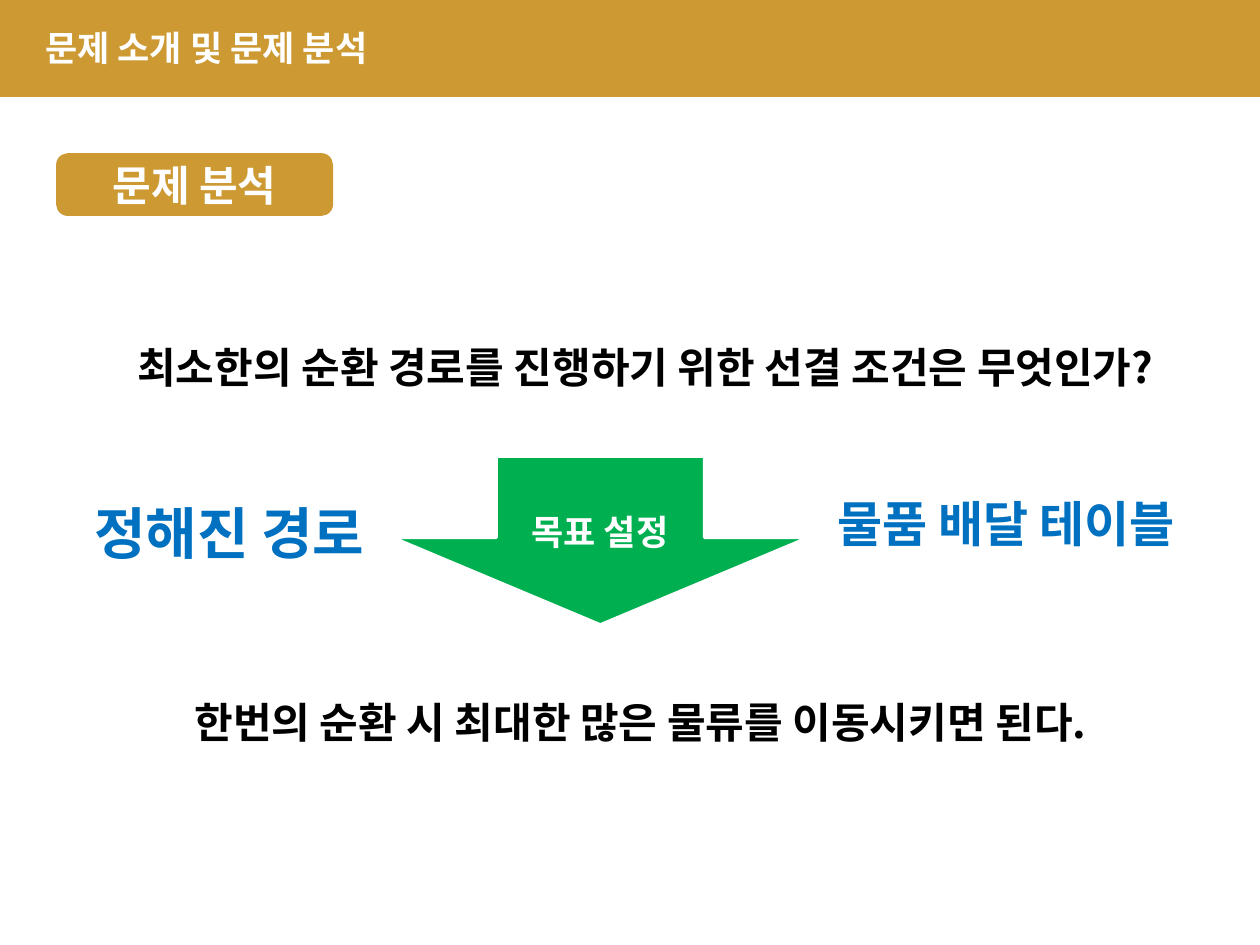
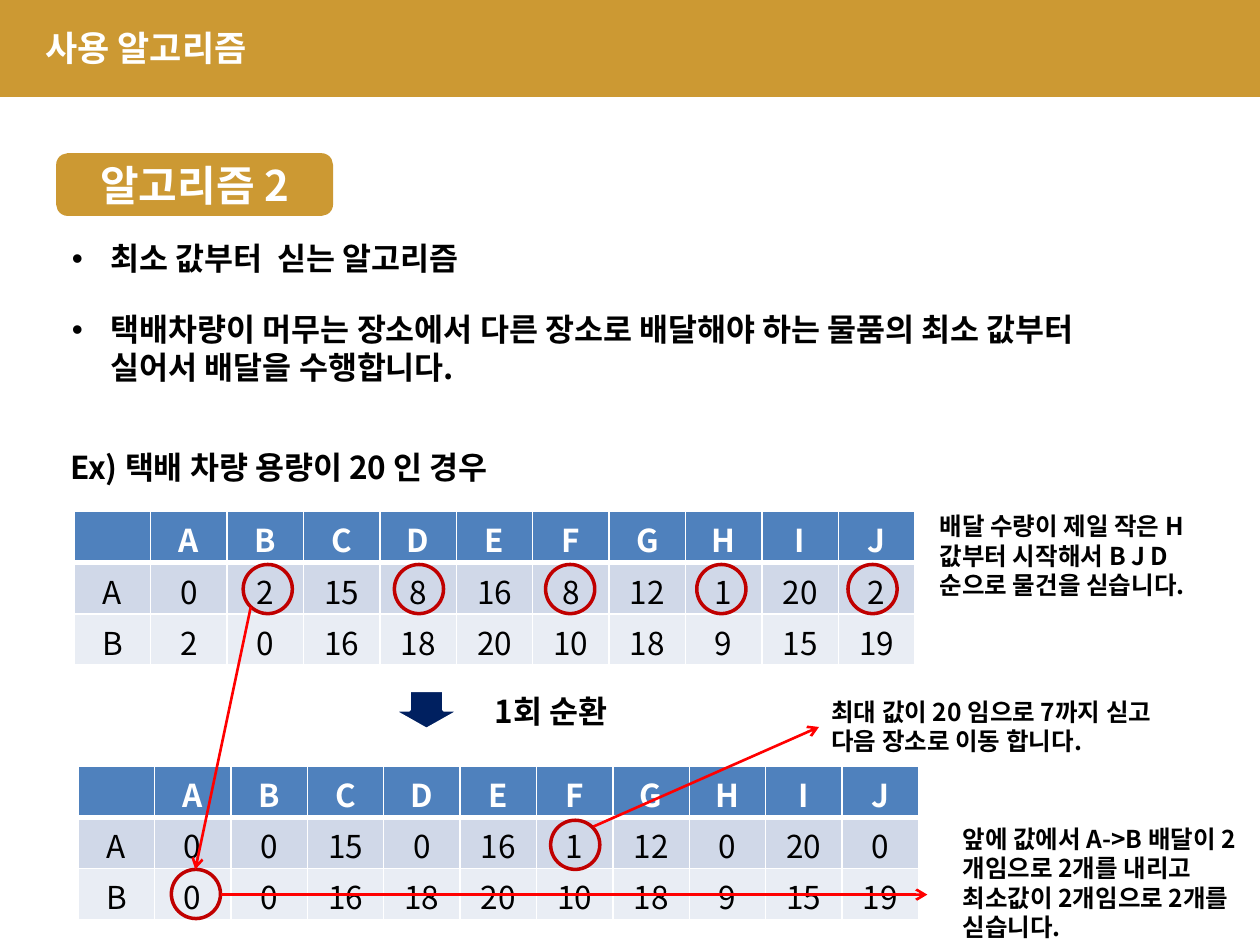
from dataclasses import dataclass

from lxml.etree import SubElement
from pptx import Presentation
from pptx.dml.color import RGBColor
from pptx.enum.shapes import MSO_CONNECTOR, MSO_SHAPE
from pptx.enum.text import MSO_ANCHOR, MSO_AUTO_SIZE, PP_ALIGN
from pptx.oxml import parse_xml
from pptx.oxml.ns import nsdecls, qn
from pptx.util import Inches, Pt


@dataclass(frozen=True)
class Theme:
    font: str = "Noto Sans CJK KR"
    line_height: float = 1.2
    gold: str = "CC9933"
    white: str = "FFFFFF"
    black: str = "000000"
    green: str = "00B050"
    blue: str = "0070C0"
    navy: str = "002060"
    ring: str = "C00000"
    arrow: str = "FF0000"
    table_rows: tuple = ("4F81BD", "D0D8E8", "E9EDF4")
    note: int = 14
    body: int = 18
    title: int = 20
    heading: int = 24
    topic: int = 28
    key_topic: int = 32


theme = Theme()
presentation = Presentation()
presentation.slide_width = Inches(10)
presentation.slide_height = Inches(7.5)
left, center = PP_ALIGN.LEFT, PP_ALIGN.CENTER


def grid(*lengths):
    """Turn lengths on a grid of 100 columns by 75 rows into slide units."""
    return [round(length * presentation.slide_width / 100) for length in lengths]


def write(paragraph, text, size, color, alignment=left, bold=True):
    paragraph.alignment = alignment
    paragraph.line_spacing = Pt(size * theme.line_height)
    paragraph.space_before = Pt(0)
    run = paragraph.add_run()
    run.text = text
    run.font.size = Pt(size)
    run.font.bold = bold
    run.font.color.rgb = RGBColor.from_string(color)
    run.font.name = theme.font
    SubElement(run.font._element, qn("a:ea")).set("typeface", theme.font)


# Slides with their titles
title_only, title_and_list = presentation.slide_layouts[5], presentation.slide_layouts[1]
analysis = presentation.slides.add_slide(title_only)
algorithm = presentation.slides.add_slide(title_and_list)

for slide, title_text in [(analysis, "문제 소개 및 문제 분석"), (algorithm, "사용 알고리즘")]:
    title = slide.shapes.title
    title.left, title.top, title.width, title.height = grid(2.6, 1.6, 38.6, 4.4)
    title.text_frame.auto_size = MSO_AUTO_SIZE.NONE
    title.text_frame.vertical_anchor = MSO_ANCHOR.TOP
    write(title.text_frame.paragraphs[0], title_text, theme.title, theme.white)

# Bullet list
bullets = algorithm.placeholders[1]
bullets.left, bullets.top, bullets.width, bullets.height = grid(4.7, 18.5, 88.6, 12.8)
bullets.text_frame.auto_size = MSO_AUTO_SIZE.NONE
bullet_texts = [
    "최소 값부터  싣는 알고리즘",
    "택배차량이 머무는 장소에서 다른 장소로 배달해야 하는 물품의 최소 값부터 실어서 배달을 수행합니다.",
]
for index, text in enumerate(bullet_texts):
    paragraph = bullets.text_frame.paragraphs[0] if index == 0 else bullets.text_frame.add_paragraph()
    write(paragraph, text, theme.body, theme.black)
    paragraph.space_before = Pt(19 * index)
    properties = paragraph._p.get_or_add_pPr()
    properties.set("marL", str(Inches(0.31)))
    properties.set("indent", str(-Inches(0.31)))
    SubElement(properties, qn("a:buChar")).set("char", "•")

# Delivery tables before and after one round
places = list("ABCDEFGHIJ")
row_b_end = [0, 16, 18, 20, 10, 18, 9, 15, 19]
delivery_tables = [
    (5.9, 40.6, [0, 2, 15, 8, 16, 8, 12, 1, 20, 2], [2, *row_b_end]),
    (6.2, 60.8, [0, 0, 15, 0, 16, 1, 12, 0, 20, 0], [0, *row_b_end]),
]
for column, row, amounts_a, amounts_b in delivery_tables:
    rows = [["", *places], ["A", *amounts_a], ["B", *amounts_b]]
    table = algorithm.shapes.add_table(
        len(rows), len(rows[0]), *grid(column, row, 66.7, 12.2)
    ).table
    for row_index, values in enumerate(rows):
        is_header = row_index == 0
        for column_index, value in enumerate(values):
            cell = table.cell(row_index, column_index)
            cell.fill.solid()
            cell.fill.fore_color.rgb = RGBColor.from_string(theme.table_rows[row_index])
            cell.margin_top, cell.margin_bottom = Inches(0.1), 0
            write(
                cell.text_frame.paragraphs[0], str(value), theme.body,
                theme.white if is_header else theme.black, center, is_header,
            )
            for position, side in enumerate(["lnL", "lnR", "lnT", "lnB"]):
                thick = (is_header and side == "lnB") or (row_index == 1 and side == "lnT")
                border = parse_xml(
                    f'<a:{side} {nsdecls("a")} w="{Pt(3 if thick else 1)}"><a:solidFill>'
                    f'<a:srgbClr val="{theme.white}"/></a:solidFill></a:{side}>'
                )
                cell._tc.get_or_add_tcPr().insert(position, border)

# Bands, badges, block arrows and rings: slide, preset, box, fill, line, text
band_box, badge_box = (0, 0, 100, 7.6), (4.6, 12.3, 21.7, 4.7)
shapes = [
    (analysis, MSO_SHAPE.DOWN_ARROW, (31.1, 36.2, 33.1, 13.4), theme.green, theme.white, ""),
    (algorithm, MSO_SHAPE.DOWN_ARROW, (31.1, 54.8, 5.5, 3.1), theme.navy, theme.white, ""),
]
for slide, badge_text in [(analysis, "문제 분석"), (algorithm, "알고리즘 2")]:
    shapes.append((slide, MSO_SHAPE.RECTANGLE, band_box, theme.gold, theme.gold, ""))
    shapes.append((slide, MSO_SHAPE.ROUNDED_RECTANGLE, badge_box, theme.gold, theme.gold, badge_text))

ring_size = 3.9
ring_places = [(19.3 + 12 * step, 44.8) for step in range(5)] + [(43.7, 65.1), (13.6, 69)]
for column, row in ring_places:
    ring_box = (column, row, ring_size, ring_size)
    shapes.append((algorithm, MSO_SHAPE.OVAL, ring_box, None, theme.ring, ""))

for slide, preset, box, fill, line, text in shapes:
    shape = slide.shapes.add_shape(preset, *grid(*box))
    shape.shadow.inherit = False
    if fill:
        shape.fill.solid()
        shape.fill.fore_color.rgb = RGBColor.from_string(fill)
    else:
        shape.fill.background()
    shape.line.color.rgb = RGBColor.from_string(line)
    shape.line.width = Pt(2)
    if text:
        shape.text_frame.vertical_anchor = MSO_ANCHOR.MIDDLE
        write(shape.text_frame.paragraphs[0], text, theme.heading, theme.white, center)
    if fill == theme.green:
        shape.adjustments[1] = 0.518
    if box == band_box:
        slide.shapes.title._element.addprevious(shape._element)

# Free texts: slide, box, text, size, color, alignment
texts = [
    (analysis, (6.7, 26.6, 89, 5), "최소한의 순환 경로를 진행하기 위한 선결 조건은 무엇인가?",
     theme.heading, theme.black, center),
    (analysis, (6.7, 54.8, 89, 5), "한번의 순환 시 최대한 많은 물류를 이동시키면 된다. ",
     theme.heading, theme.black, center),
    (analysis, (4.6, 39.1, 27.2, 6.4), "정해진 경로", theme.key_topic, theme.blue, center),
    (analysis, (63.7, 38.7, 32.3, 5.7), "물품 배달 테이블", theme.topic, theme.blue, center),
    (analysis, (41.2, 40, 16.5, 4.4), "목표 설정", theme.title, theme.white, left),
    (algorithm, (4.6, 35.1, 42.2, 4), "Ex) 택배 차량 용량이 20 인 경우",
     theme.body, theme.black, left),
    (algorithm, (38.3, 54.4, 12.6, 4), "1회 순환", theme.body, theme.black, left),
    (algorithm, (73.6, 40.1, 23.6, 8.1), "배달 수량이 제일 작은 H값부터 시작해서 B J D 순으로 물건을 싣습니다.",
     theme.note, theme.black, left),
    (algorithm, (65, 54.8, 29.1, 5.7), "최대 값이 20 임으로 7까지 싣고 다음 장소로 이동 합니다.",
     theme.note, theme.black, left),
    (algorithm, (75.4, 64.9, 24.8, 10.4),
     "앞에 값에서 A->B 배달이 2개임으로 2개를 내리고 최소값이 2개임으로 2개를 싣습니다.",
     theme.note, theme.black, left),
]
for slide, box, text, size, color, alignment in texts:
    text_frame = slide.shapes.add_textbox(*grid(*box)).text_frame
    text_frame.word_wrap = True
    write(text_frame.paragraphs[0], text, size, color, alignment)

# Arrows from the ringed amounts
for ends in [(47.1, 65.6, 65, 57.7), (17.5, 71, 73.6, 71), (19.9, 48.2, 15.5, 69)]:
    connector = algorithm.shapes.add_connector(MSO_CONNECTOR.STRAIGHT, *grid(*ends))
    connector.line.color.rgb = RGBColor.from_string(theme.arrow)
    connector.line.width = Pt(1.5)
    SubElement(connector.line._get_or_add_ln(), qn("a:tailEnd")).set("type", "arrow")
    SubElement(connector._element.spPr, qn("a:effectLst"))

presentation.save("out.pptx")
